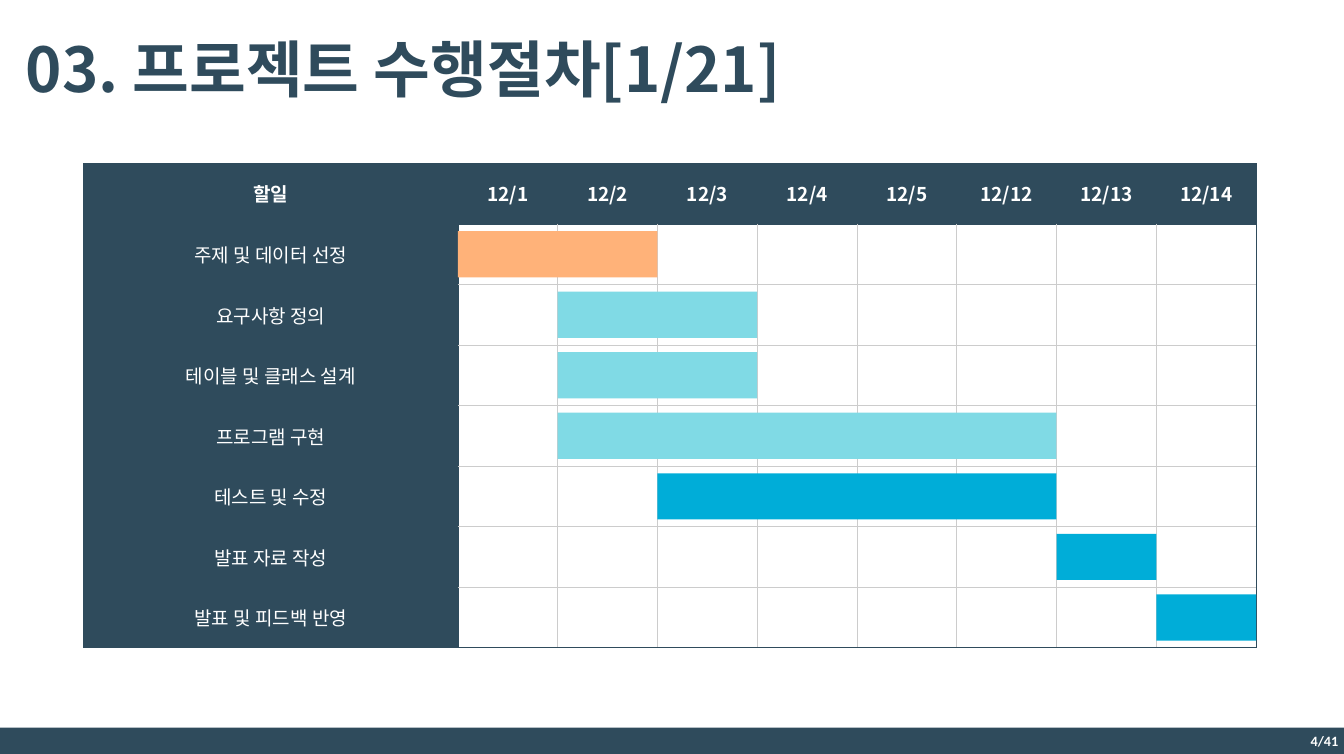
import pptx
import pptx.dml.color
import pptx.enum.shapes
import pptx.enum.text
import pptx.oxml
import pptx.oxml.ns
import pptx.util
from dataclasses import dataclass

Cm = pptx.util.Cm
ALIGN = pptx.enum.text.PP_ALIGN
ANCHOR = pptx.enum.text.MSO_ANCHOR


@dataclass(frozen=True)
class Theme:
    navy: str = "2F4B5C"
    white: str = "FFFFFF"
    grid: str = "CCCCCC"
    orange: str = "FFB279"
    aqua: str = "80DAE5"
    blue: str = "00ADD8"
    body_font: str = "Noto Sans CJK KR"
    page_font: str = "Calibri"
    title_size: int = 78
    table_size: int = 24
    page_size: int = 18


THEME = Theme()
SLIDE_W, SLIDE_H = 59.94, 33.63
FOOTER_H = 1.17
TABLE_LEFT, TABLE_TOP = 3.73, 7.29
LABEL_W, DAY_W, ROW_H = 16.69, 4.45, 2.7
BAR_H = 2.06

DAYS = ["12/1", "12/2", "12/3", "12/4", "12/5", "12/12", "12/13", "12/14"]
TASKS = [
    ("주제 및 데이터 선정", "12/1", "12/2", THEME.orange),
    ("요구사항 정의", "12/2", "12/3", THEME.aqua),
    ("테이블 및 클래스 설계", "12/2", "12/3", THEME.aqua),
    ("프로그램 구현", "12/2", "12/12", THEME.aqua),
    ("테스트 및 수정", "12/3", "12/12", THEME.blue),
    ("발표 자료 작성", "12/13", "12/13", THEME.blue),
    ("발표 및 피드백 반영", "12/14", "12/14", THEME.blue),
]


def rgb(color):
    return pptx.dml.color.RGBColor.from_string(color)


class SlideBuilder:
    def __init__(self, prs, theme):
        self.theme = theme
        self.s = prs.slides.add_slide(prs.slide_layouts[5])

    def style(self, tf, size, color, font, bold, align):
        p = tf.paragraphs[0]
        p.alignment = align
        for r in p.runs:
            r.font.size = pptx.util.Pt(size)
            r.font.bold = bold
            r.font.name = font
            r.font.color.rgb = rgb(color)
            ea = pptx.oxml.parse_xml(
                f'<a:ea {pptx.oxml.ns.nsdecls("a")} typeface="{font}"/>')
            r.font._element.find(pptx.oxml.ns.qn("a:latin")).addnext(ea)

    def title(self, text, x, y, w, h, indent):
        t = self.theme
        sp = self.s.shapes.title
        sp.left, sp.top, sp.width, sp.height = Cm(x), Cm(y), Cm(w), Cm(h)
        tf = sp.text_frame
        tf.text = text
        tf.auto_size = pptx.enum.text.MSO_AUTO_SIZE.NONE
        tf.vertical_anchor = ANCHOR.TOP
        tf.margin_left = Cm(indent)
        tf.margin_right = tf.margin_top = tf.margin_bottom = 0
        tf.paragraphs[0].line_spacing = 0.9
        self.style(tf, t.title_size, t.navy, t.body_font, True, ALIGN.LEFT)

    def rect(self, x, y, w, h, color):
        sp = self.s.shapes.add_shape(
            pptx.enum.shapes.MSO_SHAPE.RECTANGLE, Cm(x), Cm(y), Cm(w), Cm(h))
        sp.shadow.inherit = False
        sp.fill.solid()
        sp.fill.fore_color.rgb = rgb(color)
        sp.line.fill.background()
        return sp

    def footer(self, text):
        t = self.theme
        sp = self.rect(0, SLIDE_H - FOOTER_H, SLIDE_W, FOOTER_H, t.navy)
        tf = sp.text_frame
        tf.text = text
        tf.vertical_anchor = ANCHOR.MIDDLE
        self.style(tf, t.page_size, t.white, t.page_font, True, ALIGN.RIGHT)

    def borders(self, cell, colors):
        tcPr = cell._tc.get_or_add_tcPr()
        for i, (side, color) in enumerate(zip("LRTB", colors)):
            tcPr.insert(i, pptx.oxml.parse_xml(
                f'<a:ln{side} {pptx.oxml.ns.nsdecls("a")} w="12700"><a:solidFill>'
                f'<a:srgbClr val="{color}"/></a:solidFill></a:ln{side}>'))

    def schedule(self, days, tasks):
        t = self.theme
        rows = [["할일", *days]]
        rows += [[name] + [""] * len(days) for name, *_ in tasks]
        n_rows, n_cols = len(rows), len(rows[0])
        table = self.s.shapes.add_table(
            n_rows, n_cols, Cm(TABLE_LEFT), Cm(TABLE_TOP),
            Cm(LABEL_W + DAY_W * len(days)), Cm(ROW_H * n_rows)).table
        table.first_row = table.horz_banding = False
        for j, col in enumerate(table.columns):
            col.width = Cm(DAY_W if j else LABEL_W)
        for i, row in enumerate(rows):
            table.rows[i].height = Cm(ROW_H)
            for j, text in enumerate(row):
                cell = table.cell(i, j)
                header = i == 0 or j == 0
                if header:
                    cell.fill.solid()
                    cell.fill.fore_color.rgb = rgb(t.navy)
                    cell.text_frame.text = text
                    cell.vertical_anchor = ANCHOR.MIDDLE
                    self.style(cell.text_frame, t.table_size, t.white,
                               t.body_font, i == 0, ALIGN.CENTER)
                else:
                    cell.fill.background()
                dark = (j == 1, j == n_cols - 1, i == 1, i == n_rows - 1)
                self.borders(cell, [t.navy if header or d else t.grid for d in dark])

    def bar(self, row, first, last, color):
        self.rect(TABLE_LEFT + LABEL_W + DAY_W * first,
                  TABLE_TOP + ROW_H * row + (ROW_H - BAR_H) / 2,
                  DAY_W * (last - first + 1), BAR_H, color)


def main():
    prs = pptx.Presentation()
    prs.slide_width, prs.slide_height = Cm(SLIDE_W), Cm(SLIDE_H)
    slide = SlideBuilder(prs, THEME)
    slide.title("03. 프로젝트 수행절차[1/21]", 0, 1.73, 59.84, 3.33, 1.15)
    slide.footer("4/41")
    slide.schedule(DAYS, TASKS)
    for row, (_, start, end, color) in enumerate(TASKS, 1):
        slide.bar(row, DAYS.index(start), DAYS.index(end), color)
    prs.save("out.pptx")


if __name__ == "__main__":
    main()
